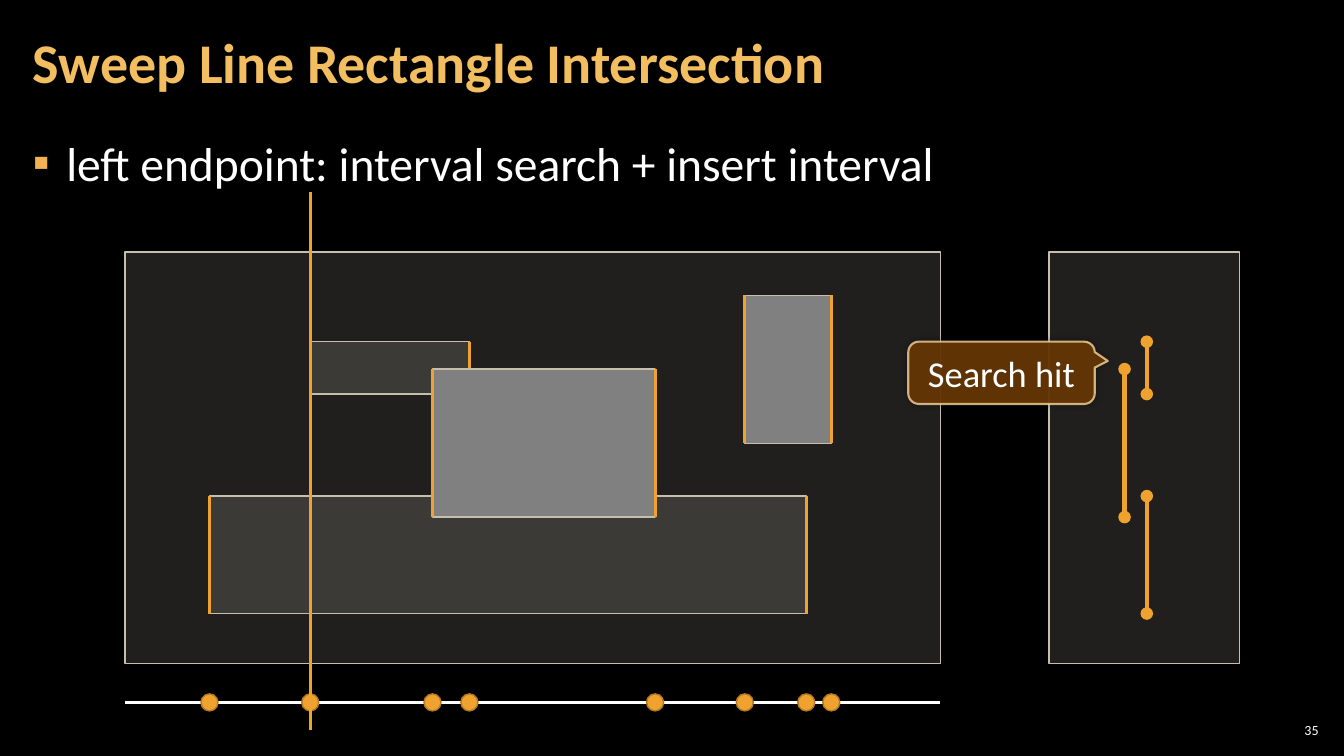
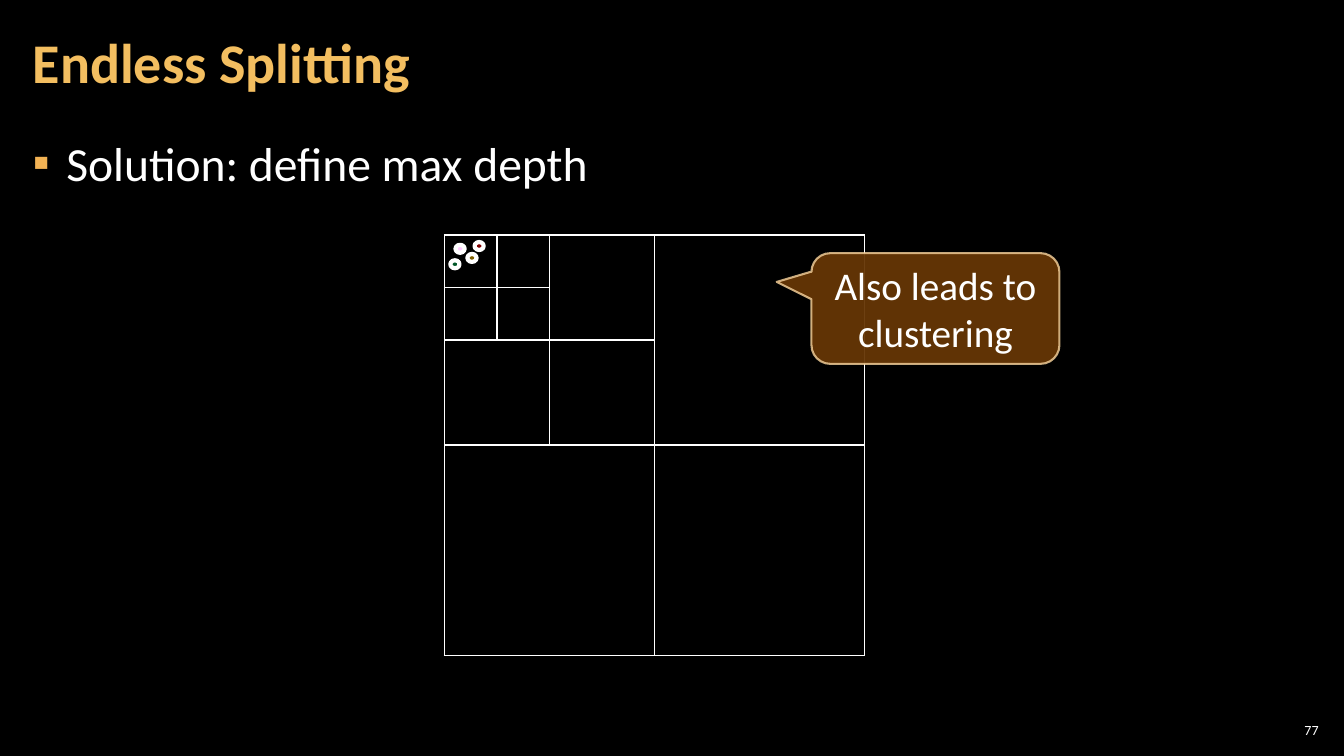
from collections import namedtuple

from lxml.etree import SubElement
from pptx import Presentation
from pptx.dml.color import RGBColor
from pptx.enum.shapes import MSO_CONNECTOR, MSO_SHAPE
from pptx.enum.text import MSO_ANCHOR, MSO_AUTO_SIZE, PP_ALIGN
from pptx.oxml.ns import qn
from pptx.util import Cm, Pt

COLORS = {
    "background": "000000",
    "text": "FFFFFF",
    "title": "F3BE60",
    "bullet": "F2B254",
    "accent": "F0A22E",
    "accent_dark": "B27822",
    "panel": "D9D5C7",
    "panel_line": "C7BFAC",
    "solid": "808080",
    "callout": "663606",
    "callout_line": "F8D49E",
    "green": "00B050",
    "red": "FF0000",
    "amber": "FFC000",
    "pink": "FFCCFF",
}
FONT = "Calibri"

Box = namedtuple("Box", "left top width height")
Block = namedtuple("Block", "left top width height fill alpha lane")

TITLE_BOX = Box(0.53, 0.1, 26.6, 3.07)
BODY_BOX = Box(0.53, 3.2, 32.8, 15.47)
NUMBER_BOX = Box(32.13, 18.14, 1.2, 0.53)
PLOT_BOX = Box(3.15, 6.35, 20.55, 10.37)
STATUS_BOX = Box(26.44, 6.35, 4.8, 10.37)
QUADTREE_BOX = Box(11.2, 5.92, 10.59, 10.59)

BLOCKS = [
    Block(2.13, 6.15, 15.04, 2.96, "panel", 15, 2.46),
    Block(4.67, 2.26, 4.01, 1.32, "panel", 15, 2.46),
    Block(15.62, 1.09, 2.18, 3.73, "solid", 100, None),
    Block(7.75, 2.95, 5.61, 3.73, "solid", 100, 1.9),
]
SWEEP_X = BLOCKS[1].left
POINTS = [
    (0.15, 0.64, "green", 50),
    (0.76, 0.18, "red", 50),
    (0.58, 0.48, "amber", 50),
    (0.28, 0.25, "pink", 100),
]


def rgb(name):
    """Return the named colour."""
    return RGBColor.from_string(COLORS[name])


def inside(box, left, top, width, height):
    """Return a box given relative to the corner of another box."""
    return Box(box.left + left, box.top + top, width, height)


def set_alpha(color_element, percent):
    """Set the opacity of a colour element."""
    if percent < 100:
        SubElement(color_element, qn("a:alpha")).set("val", str(percent * 1000))


def write_run(paragraph, text, size, color="text", bold=False):
    """Add one formatted run to a paragraph."""
    run = paragraph.add_run()
    run.text = text
    run.font.name = FONT
    run.font.size = Pt(size)
    run.font.bold = bold
    run.font.color.rgb = rgb(color)


def place(shape, box):
    """Move a shape to a box."""
    shape.left, shape.top, shape.width, shape.height = map(Cm, box)


def format_frame(frame, anchor, side, edge):
    """Set wrapping, anchor and insets of a text frame."""
    frame.word_wrap = True
    frame.auto_size = MSO_AUTO_SIZE.NONE
    frame.vertical_anchor = anchor
    frame.margin_left = frame.margin_right = Cm(side)
    frame.margin_top = frame.margin_bottom = Cm(edge)


def add_shape(slide, preset, box, fill, line, line_width=1, alpha=100, line_alpha=100):
    """Add a filled and outlined preset shape."""
    shape = slide.shapes.add_shape(preset, *map(Cm, box))
    shape.shadow.inherit = False
    shape.fill.solid()
    shape.fill.fore_color.rgb = rgb(fill)
    shape.line.color.rgb = rgb(line)
    shape.line.width = Pt(line_width)
    properties = shape.element.spPr
    set_alpha(properties.xpath("./a:solidFill/a:srgbClr")[0], alpha)
    set_alpha(properties.xpath("./a:ln/a:solidFill/a:srgbClr")[0], line_alpha)
    return shape


def add_line(slide, start, end, color="accent", width=2, oval_ends=False):
    """Add a straight line, with round ends if wanted."""
    connector = slide.shapes.add_connector(
        MSO_CONNECTOR.STRAIGHT, *map(Cm, (*start, *end)))
    connector.line.color.rgb = rgb(color)
    connector.line.width = Pt(width)
    if oval_ends:
        outline = connector.element.spPr.find(qn("a:ln"))
        for tag in ("a:headEnd", "a:tailEnd"):
            SubElement(outline, qn(tag)).set("type", "oval")
    SubElement(connector.element.spPr, qn("a:effectLst"))


def add_vertical(slide, x, top, height, **style):
    """Add a vertical line."""
    add_line(slide, (x, top), (x, top + height), **style)


def add_callout(slide, box, text, size, adjustments, shadow=False):
    """Add a rounded speech callout."""
    shape = add_shape(slide, MSO_SHAPE.ROUNDED_RECTANGULAR_CALLOUT, box,
                      "callout", "callout_line", 1.5, 95, 80)
    for index, value in enumerate(adjustments):
        shape.adjustments[index] = value
    if shadow:
        effects = shape.element.spPr.find(qn("a:effectLst"))
        outer = SubElement(effects, qn("a:outerShdw"), blurRad=str(Pt(5)), dist="0", dir="0")
        set_alpha(SubElement(outer, qn("a:srgbClr"), val=COLORS["background"]), 40)
    format_frame(shape.text_frame, MSO_ANCHOR.MIDDLE, 0.25, 0.13)
    paragraph = shape.text_frame.paragraphs[0]
    paragraph.alignment = PP_ALIGN.CENTER
    write_run(paragraph, text, size)


def add_bullet(paragraph):
    """Give a paragraph a square bullet with a hanging indent."""
    properties = paragraph._p.get_or_add_pPr()
    properties.set("marL", str(Cm(0.84)))
    properties.set("indent", str(-Cm(0.84)))
    color = SubElement(properties, qn("a:buClr"))
    SubElement(color, qn("a:srgbClr"), val=COLORS["bullet"])
    SubElement(properties, qn("a:buFont"), typeface=FONT)
    SubElement(properties, qn("a:buChar"), char="▪")


def add_base_slide(presentation, title, bullet, number):
    """Add a slide with its title, bullet and number."""
    slide = presentation.slides.add_slide(presentation.slide_layouts[1])
    heading, body = slide.shapes.title, slide.placeholders[1]

    place(heading, TITLE_BOX)
    format_frame(heading.text_frame, MSO_ANCHOR.MIDDLE, 0.3, 0.1)
    paragraph = heading.text_frame.paragraphs[0]
    paragraph.alignment = PP_ALIGN.LEFT
    paragraph.line_spacing = 0.9
    write_run(paragraph, title, 40, "title", True)

    place(body, BODY_BOX)
    format_frame(body.text_frame, MSO_ANCHOR.TOP, 0.3, 0.1)
    paragraph = body.text_frame.paragraphs[0]
    add_bullet(paragraph)
    paragraph.line_spacing = 1.05
    paragraph.space_before = Pt(0)
    paragraph.space_after = Pt(6)
    write_run(paragraph, bullet, 34)

    number_text = slide.shapes.add_textbox(*map(Cm, NUMBER_BOX))
    format_frame(number_text.text_frame, MSO_ANCHOR.MIDDLE, 0.1, 0.1)
    paragraph = number_text.text_frame.paragraphs[0]
    paragraph.alignment = PP_ALIGN.RIGHT
    write_run(paragraph, number, 10)
    return slide


def add_panel(slide, box):
    """Add a translucent panel."""
    add_shape(slide, MSO_SHAPE.RECTANGLE, box, "panel", "panel_line", alpha=15)


def draw_plot(slide, box):
    """Draw the rectangles, their event points and the sweep line."""
    add_panel(slide, box)
    events = []
    for block in BLOCKS:
        area = inside(box, *block[:4])
        add_shape(slide, MSO_SHAPE.RECTANGLE, area, block.fill, "panel_line",
                  alpha=block.alpha)
        for x in (area.left, area.left + area.width):
            add_vertical(slide, x, area.top, area.height)
            events.append(x)

    axis_y, diameter = box.top + 11.35, 0.43
    add_line(slide, (box.left, axis_y), (box.left + box.width, axis_y), "text")
    for x in sorted(events):
        dot = Box(x - diameter / 2, axis_y - diameter / 2, diameter, diameter)
        add_shape(slide, MSO_SHAPE.OVAL, dot, "accent", "accent_dark")
    add_vertical(slide, box.left + SWEEP_X, box.top - 1.5, 13.54)


def draw_status(slide, box):
    """Draw the vertical intervals and mark the search hit."""
    add_panel(slide, box)
    for block in BLOCKS:
        if block.lane is not None:
            add_vertical(slide, box.left + block.lane, box.top + block.top,
                         block.height, width=3, oval_ends=True)
    add_callout(slide, inside(box, -3.55, 2.26, 4.7, 1.57), "Search hit", 26,
                (0.57, -0.19, 0.17), shadow=True)


def format_cell(cell):
    """Give a cell thin borders and no fill."""
    properties = cell._tc.get_or_add_tcPr()
    for side in ("a:lnL", "a:lnR", "a:lnT", "a:lnB"):
        border = SubElement(properties, qn(side), w=str(Pt(1)))
        fill = SubElement(border, qn("a:solidFill"))
        SubElement(fill, qn("a:srgbClr"), val=COLORS["text"])
    cell.fill.background()


def draw_quadtree(slide, box):
    """Draw the split square as a table with points in its corner."""
    table = slide.shapes.add_table(4, 4, *map(Cm, box)).table
    table.first_row = table.horz_banding = False
    for index, divisor in enumerate((8, 8, 4, 2)):
        table.columns[index].width = Cm(box.width / divisor)
        table.rows[index].height = Cm(box.height / divisor)
    for cell in table.iter_cells():
        format_cell(cell)
    for level in (2, 3):
        table.cell(0, level).merge(table.cell(level - 1, level))
        table.cell(level, 0).merge(table.cell(level, level - 1))
    for left, top, color, alpha in POINTS:
        add_shape(slide, MSO_SHAPE.OVAL, inside(box, left, top, 0.23, 0.2),
                  color, "text", 3, alpha)
    add_callout(slide, inside(box, 9.25, 0.46, 6.25, 2.79),
                "Also leads to clustering", 28, (-0.64, -0.24, 0.17))


def main():
    """Build and save the presentation."""
    presentation = Presentation()
    presentation.slide_width, presentation.slide_height = Cm(33.87), Cm(19.05)
    background = presentation.slide_master.background.fill
    background.solid()
    background.fore_color.rgb = rgb("background")

    slide = add_base_slide(presentation, "Sweep Line Rectangle Intersection",
                           "left endpoint: interval search + insert interval", "35")
    draw_plot(slide, PLOT_BOX)
    draw_status(slide, STATUS_BOX)

    slide = add_base_slide(presentation, "Endless Splitting",
                           "Solution: define max depth", "77")
    draw_quadtree(slide, QUADTREE_BOX)
    presentation.save("out.pptx")


if __name__ == "__main__":
    main()
